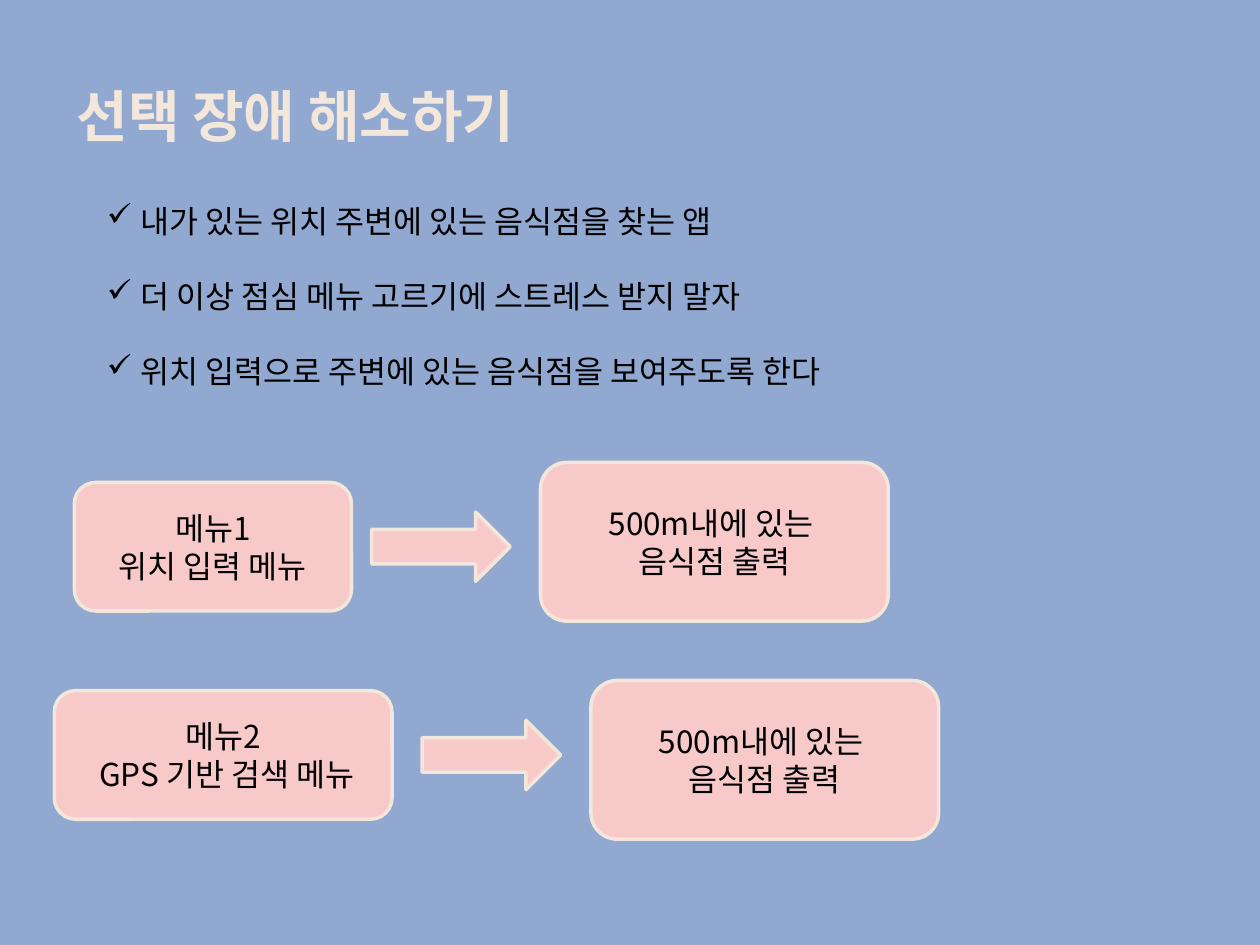
from dataclasses import dataclass

from lxml.etree import SubElement
from pptx import Presentation
from pptx.dml.color import RGBColor
from pptx.enum.shapes import MSO_SHAPE as Shape
from pptx.enum.text import MSO_ANCHOR as Anchor, PP_ALIGN as Align
from pptx.oxml.ns import qn
from pptx.util import Pt

# Content
TITLE = "선택 장애 해소하기"
POINTS = [
    "내가 있는 위치 주변에 있는 음식점을 찾는 앱",
    "더 이상 점심 메뉴 고르기에 스트레스 받지 말자",
    "위치 입력으로 주변에 있는 음식점을 보여주도록 한다",
]
RESULT = "500m내에 있는 \n음식점 출력"
# Each flow: menu text, menu left, menu width, arrow left, row middle, result middle
FLOWS = [
    ("메뉴1\n위치 입력 메뉴", 42.5, 158.4, 212.4, 312.4, 309.6),
    ("메뉴2\n GPS 기반 검색 메뉴", 31, 193, 241.2, 431.4, 434.2),
]
MENU_H = 73.5
ARROW_W, ARROW_H = 79.2, 39.6
RESULT_W, RESULT_H = 198.7, 90.7
RESULT_GAP = 17.3


@dataclass
class Theme:
    font: str = "Noto Sans CJK KR"
    back: RGBColor = RGBColor(0x91, 0xA8, 0xD0)
    cream: RGBColor = RGBColor(0xF3, 0xE7, 0xDB)
    pink: RGBColor = RGBColor(0xF7, 0xCA, 0xC9)
    ink: RGBColor = RGBColor(0, 0, 0)
    title: int = 32
    body: int = 18
    line: int = 2


theme = Theme()


def style_text(tf, size, color, bold=False, align=Align.LEFT):
    for p in tf.paragraphs:
        p.alignment = align
        for r in p.runs:
            font = r.font
            font.name, font.size, font.bold = theme.font, Pt(size), bold
            font.color.rgb = color
            SubElement(r._r.get_or_add_rPr(), qn("a:ea"), typeface=theme.font)


def add_text(slide, text, left, top, width, height):
    tf = slide.shapes.add_textbox(Pt(left), Pt(top), Pt(width), Pt(height)).text_frame
    tf.word_wrap = False
    tf.text = text
    return tf


def add_check(p, indent):
    pPr = p._p.get_or_add_pPr()
    pPr.set("marL", str(Pt(indent)))
    pPr.set("indent", str(-Pt(indent)))
    SubElement(pPr, qn("a:buChar"), char="✓")


def add_block(slide, kind, left, middle, width, height, text=""):
    sp = slide.shapes.add_shape(
        kind, Pt(left), Pt(middle - height / 2), Pt(width), Pt(height))
    sp.shadow.inherit = False
    sp.fill.solid()
    sp.fill.fore_color.rgb = theme.pink
    sp.line.color.rgb = theme.cream
    sp.line.width = Pt(theme.line)
    tf = sp.text_frame
    tf.vertical_anchor = Anchor.MIDDLE
    tf.text = text
    style_text(tf, theme.body, theme.ink, align=Align.CENTER)


def main():
    prs = Presentation()
    prs.slide_width, prs.slide_height = Pt(720), Pt(540)
    slide = prs.slides.add_slide(prs.slide_layouts[6])
    slide.background.fill.solid()
    slide.background.fill.fore_color.rgb = theme.back

    # Title
    tf = add_text(slide, TITLE, 36.7, 43.2, 296, 46)
    style_text(tf, theme.title, theme.cream, bold=True)

    # Check list
    tf = add_text(slide, "\n".join(POINTS), 54, 111.6, 473.8, 116.6)
    style_text(tf, theme.body, theme.ink)
    for i, p in enumerate(tf.paragraphs):
        p.space_before = Pt(21.5 if i else 0)
        add_check(p, 19)

    # Menu, arrow and result of each flow
    for menu, left, width, arrow_left, middle, result_middle in FLOWS:
        add_block(slide, Shape.ROUNDED_RECTANGLE, left, middle, width, MENU_H, menu)
        add_block(slide, Shape.RIGHT_ARROW, arrow_left, middle, ARROW_W, ARROW_H)
        add_block(slide, Shape.ROUNDED_RECTANGLE, arrow_left + ARROW_W + RESULT_GAP,
                  result_middle, RESULT_W, RESULT_H, RESULT)

    prs.save("out.pptx")


if __name__ == "__main__":
    main()
